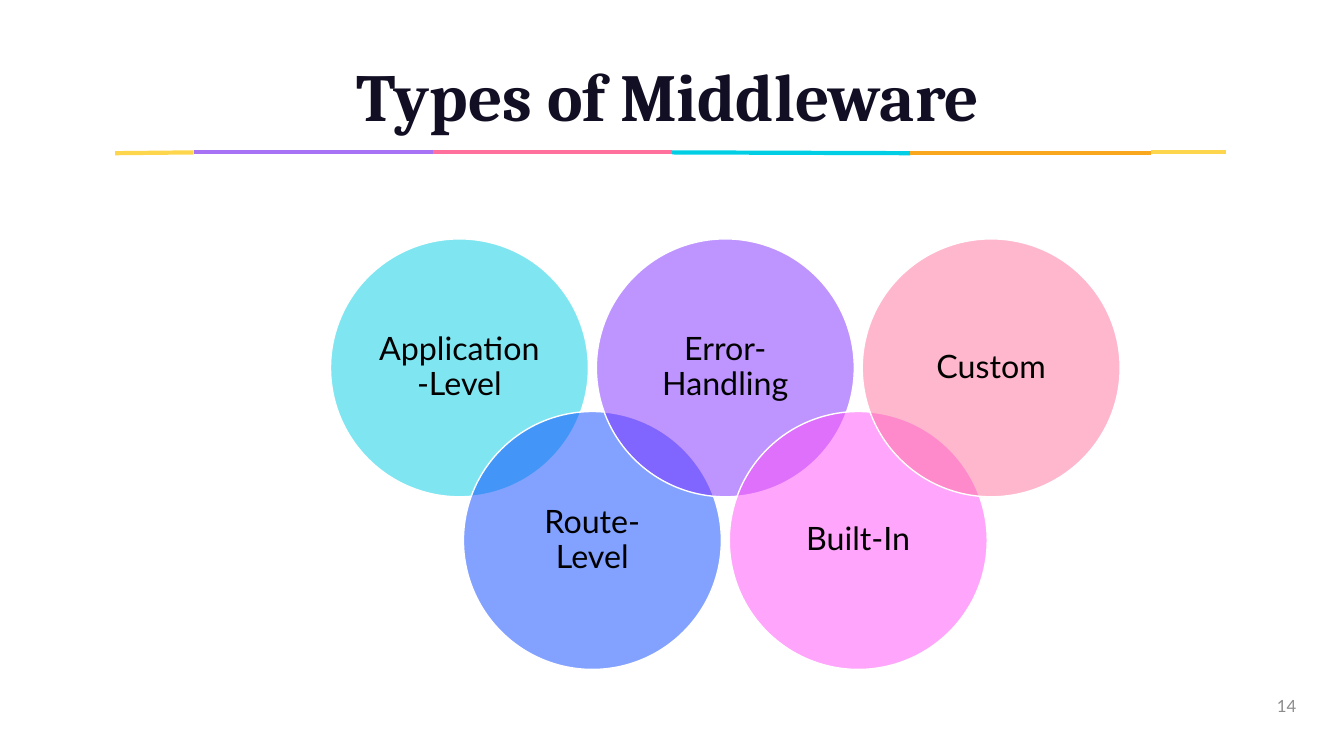
"""Builds the "Types of Middleware" slide with five overlapping circles."""
from lxml.etree import SubElement
from pptx import Presentation
from pptx.dml.color import RGBColor
from pptx.enum.shapes import MSO_CONNECTOR, MSO_SHAPE
from pptx.enum.text import MSO_ANCHOR, MSO_AUTO_SIZE, PP_ALIGN
from pptx.oxml.ns import qn
from pptx.util import Cm, Pt

WHITE = RGBColor(0xFF, 0xFF, 0xFF)
BLACK = RGBColor(0x00, 0x00, 0x00)
NAVY = RGBColor(0x12, 0x0E, 0x23)
GRAY = RGBColor(0x8C, 0x8C, 0x8C)
YELLOW = RGBColor(0xFE, 0xD6, 0x4E)
LILAC = RGBColor(0xA7, 0x73, 0xF4)
PINK = RGBColor(0xFF, 0x70, 0x9D)
CYAN = RGBColor(0x00, 0xCE, 0xE4)
ORANGE = RGBColor(0xF9, 0xA8, 0x1D)
BLUE = RGBColor(0x08, 0x47, 0xFF)
VIOLET = RGBColor(0x7E, 0x2A, 0xFF)
MAGENTA = RGBColor(0xFF, 0x4D, 0xF8)


def write(tf, text, font, size, color, align, anchor):
    tf.text = text
    tf.word_wrap = True
    tf.auto_size = MSO_AUTO_SIZE.NONE
    tf.vertical_anchor = anchor
    p = tf.paragraphs[0]
    p.alignment = align
    r = p.runs[0]
    r.font.name = font
    r.font.size = Pt(size)
    r.font.color.rgb = color
    return p


prs = Presentation()
prs.slide_width, prs.slide_height = Cm(33.87), Cm(19.05)
s = prs.slides.add_slide(prs.slide_layouts[5])

rule = [
    (2.9, 3.86, 4.88, 3.84, YELLOW),
    (4.88, 3.84, 10.9, 3.84, LILAC),
    (10.9, 3.84, 16.94, 3.84, PINK),
    (16.94, 3.84, 22.94, 3.86, CYAN),
    (22.94, 3.86, 29.01, 3.86, ORANGE),
    (29.01, 3.84, 30.89, 3.84, YELLOW),
]
for x1, y1, x2, y2, color in rule:
    line = s.shapes.add_connector(MSO_CONNECTOR.STRAIGHT, Cm(x1), Cm(y1), Cm(x2), Cm(y2))
    line.line.color.rgb = color
    line.line.width = Pt(3)
    SubElement(line._element.spPr, qn("a:effectLst"))

title = s.shapes.title
title.left, title.top, title.width, title.height = Cm(1.8), Cm(1.27), Cm(30.07), Cm(2.26)
p = write(title.text_frame, "Types of Middleware", "Cambria", 48, NAVY,
          PP_ALIGN.CENTER, MSO_ANCHOR.BOTTOM)
p.line_spacing = 1.7
p.runs[0].font.bold = True

number = s.shapes.add_textbox(Cm(31.88), Cm(17.3), Cm(1.04), Cm(0.97))
write(number.text_frame, "14", "Lato", 12, GRAY, PP_ALIGN.RIGHT, MSO_ANCHOR.MIDDLE)

circles = [
    ("Application-Level", CYAN),
    ("Route-Level", BLUE),
    ("Error- Handling", VIOLET),
    ("Built-In", MAGENTA),
    ("Custom", PINK),
]
for i, (text, color) in enumerate(circles):
    sp = s.shapes.add_shape(MSO_SHAPE.OVAL, Cm(8.33 + i * 3.35), Cm(6.02 + i % 2 * 4.35),
                            Cm(6.5), Cm(6.5))
    sp.shadow.inherit = False
    sp.fill.solid()
    sp.fill.fore_color.rgb = color
    SubElement(sp.fill._xPr.find(".//" + qn("a:srgbClr")), qn("a:alpha"), val="50000")
    sp.line.color.rgb = WHITE
    sp.line.width = Pt(1)
    tf = sp.text_frame
    tf.margin_left = tf.margin_right = tf.margin_top = tf.margin_bottom = Cm(0.25)
    p = write(tf, text, "Lato", 23, BLACK, PP_ALIGN.CENTER, MSO_ANCHOR.MIDDLE)
    p.line_spacing = 0.9

prs.save("out.pptx")
